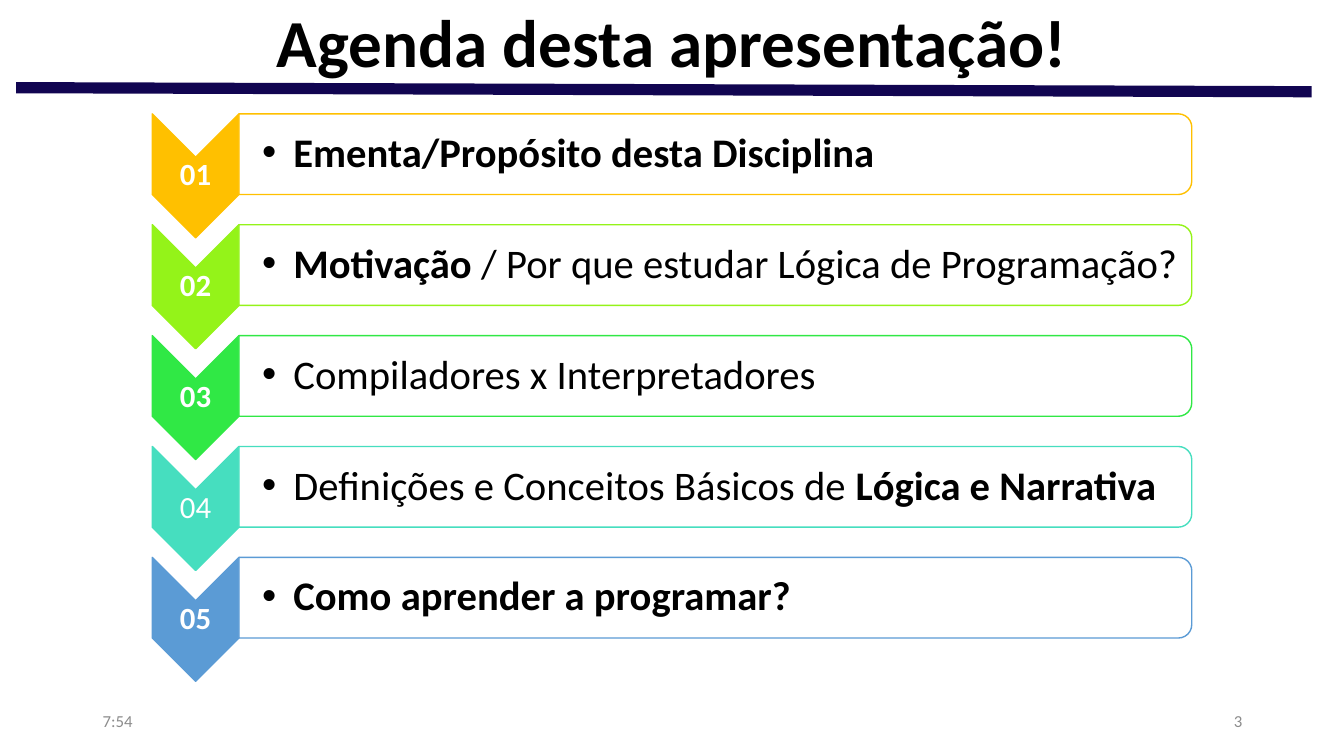
import pptx
import pptx.dml.color
import pptx.enum.shapes
import pptx.enum.text
import pptx.oxml.ns
import pptx.util
from lxml import etree

Inches = pptx.util.Inches
Pt = pptx.util.Pt
Shapes = pptx.enum.shapes.MSO_SHAPE
Align = pptx.enum.text.PP_ALIGN
qn = pptx.oxml.ns.qn

AGENDA = [
    # number, number is bold, colour, runs of (text, bold)
    ("01", True, "FFC000", [("Ementa/Propósito desta Disciplina", True)]),
    ("02", True, "94F319", [("Motivação", True),
                            (" / Por que estudar Lógica de Programação?", False)]),
    ("03", True, "30E845", [("Compiladores x Interpretadores", False)]),
    ("04", False, "46DEBF", [("Definições e Conceitos Básicos de ", False),
                             ("Lógica e Narrativa", True)]),
    ("05", True, "5B9BD5", [("Como aprender a programar?", True)]),
]


def color(hex_string):
    return pptx.dml.color.RGBColor.from_string(hex_string)


def add_text(slide, box, runs, size, fill="000000", align=Align.LEFT,
             insets=(0.1, 0.05, 0.1, 0.05), spacing=1.0, bullet_indent=None):
    """Add one paragraph made of (text, bold) runs, centred vertically."""
    text_box = slide.shapes.add_textbox(*map(Inches, box))
    frame = text_box.text_frame
    frame.word_wrap = True
    frame.vertical_anchor = pptx.enum.text.MSO_ANCHOR.MIDDLE
    (frame.margin_left, frame.margin_top,
     frame.margin_right, frame.margin_bottom) = map(Inches, insets)
    paragraph = frame.paragraphs[0]
    paragraph.alignment = align
    paragraph.line_spacing = spacing
    for text, bold in runs:
        run = paragraph.add_run()
        run.text = text
        run.font.name = "Calibri"
        run.font.size = Pt(size)
        run.font.bold = bold
        run.font.color.rgb = color(fill)
    if bullet_indent:
        properties = paragraph._p.get_or_add_pPr()
        properties.set("marL", str(Inches(bullet_indent)))
        properties.set("indent", str(-Inches(bullet_indent)))
        etree.SubElement(properties, qn("a:buFont")).set("typeface", "Arial")
        etree.SubElement(properties, qn("a:buChar")).set("char", "•")


def add_turned_shape(slide, kind, box, fill, line):
    """Add a shape turned by 90 degrees that fills the box as seen."""
    left, top, width, height = box
    shift = (width - height) / 2
    shape = slide.shapes.add_shape(
        kind, *map(Inches, (left + shift, top - shift, height, width)))
    shape.rotation = 90
    shape.shadow.inherit = False
    shape.fill.solid()
    shape.fill.fore_color.rgb = color(fill)
    shape.line.color.rgb = color(line)
    shape.line.width = Pt(1)
    return shape


def add_header(slide, left, top, width, height):
    # Rule under the title, slightly slanted
    rule = slide.shapes.add_connector(
        pptx.enum.shapes.MSO_CONNECTOR.STRAIGHT,
        Inches(left + 0.16), Inches(top + height - 0.03),
        Inches(left + width - 0.32), Inches(top + height + 0.01))
    rule.line.color.rgb = color("110551")
    rule.line.width = Pt(8)
    etree.SubElement(rule._element.spPr, qn("a:effectLst"))
    # Title
    add_text(slide, (left, top, width, height),
             [("Agenda desta apresentação!", True)], 48,
             align=Align.CENTER, spacing=0.9)


def add_footer(slide, left, top, width, height):
    part_width = 3
    for text, part_left, align in (
            ("7:54", left, Align.LEFT),
            ("3", left + width - part_width, Align.RIGHT)):
        add_text(slide, (part_left, top, part_width, height),
                 [(text, False)], 12, fill="8C8C8C", align=align)


def add_agenda_row(slide, left, top, width, item):
    number, number_bold, accent, runs = item
    chevron_width = 0.86
    bar_left, bar_width = left + chevron_width, width - chevron_width
    insets = (0.02,) * 4
    # Numbered chevron
    add_turned_shape(slide, Shapes.CHEVRON,
                     (left, top, chevron_width, 1.23), accent, accent)
    add_text(slide, (left, top + 0.43, chevron_width, 0.37),
             [(number, number_bold)], 22, fill="FFFFFF", align=Align.CENTER,
             insets=insets, spacing=0.9)
    # Bar with rounded right corners
    bar = add_turned_shape(slide, Shapes.ROUND_2_SAME_RECTANGLE,
                           (bar_left, top, bar_width, 0.8), "FFFFFF", accent)
    fill_color = bar._element.spPr.find(qn("a:solidFill"))[0]
    etree.SubElement(fill_color, qn("a:alpha")).set("val", "90000")
    # Topic
    add_text(slide, (bar_left, top + 0.04, bar_width - 0.04, 0.72), runs, 29,
             insets=(0.23,) + insets[1:], spacing=0.9, bullet_indent=0.31)


def add_agenda(slide, left, top, width, row_pitch):
    for index, item in enumerate(AGENDA):
        add_agenda_row(slide, left, top + index * row_pitch, width, item)


def main():
    presentation = pptx.Presentation()
    presentation.slide_width = Inches(13.33)
    presentation.slide_height = Inches(7.5)
    slide = presentation.slides.add_slide(presentation.slide_layouts[6])
    add_header(slide, 0, 0, 13.33, 0.9)
    add_footer(slide, 0.92, 6.95, 11.5, 0.4)
    add_agenda(slide, 1.51, 1.13, 10.31, 1.1)
    presentation.save("out.pptx")


if __name__ == "__main__":
    main()
